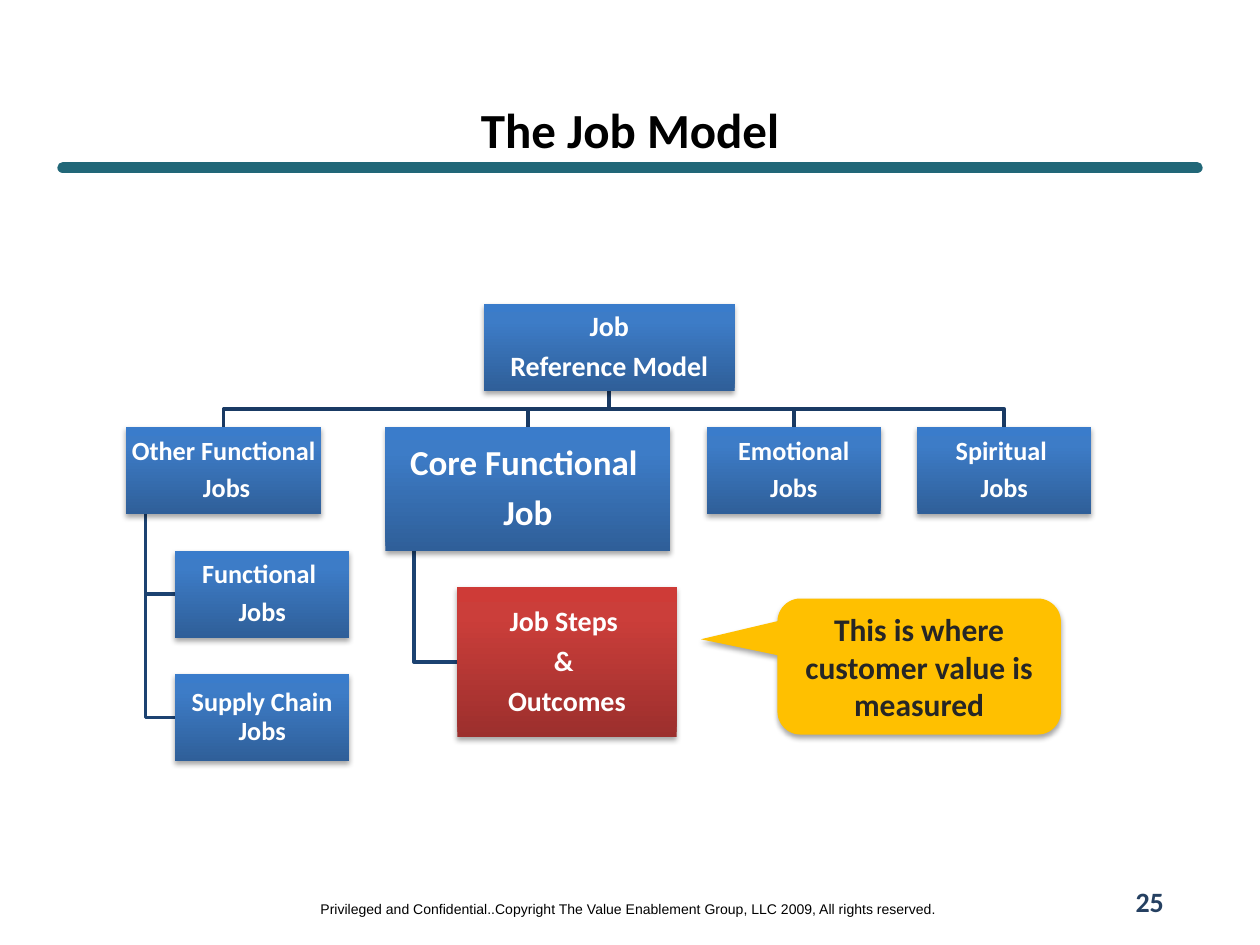
from dataclasses import dataclass

from lxml import etree
from pptx import Presentation, util as u
from pptx.dml.color import RGBColor
from pptx.enum import shapes, text
from pptx.oxml.ns import qn

CELL = u.Inches(0.1)  # the slide is a grid of 100 columns by 75 rows
BLUE = ((0, "2F5F99"), (80, "3D7CC7"), (100, "3A7CCB"))
RED = ((0, "9C2F2D"), (80, "CB3E3A"), (100, "CE3B37"))


@dataclass
class Job:
    lines: tuple
    col: float
    row: float
    cols: float
    rows: float = 6.9
    size: int = 15
    stops: tuple = BLUE

    @property
    def centre(self):
        return self.col + self.cols / 2

    @property
    def bottom(self):
        return self.row + self.rows


def colour(hex_text):
    return RGBColor.from_string(hex_text)


def cells(*counts):
    return [round(count * CELL) for count in counts]


def add_xml(parent, tag, **attributes):
    return etree.SubElement(parent, qn(tag), attributes)


def write(frame, *lines, size, font="Calibri", color="000000", bold=True,
          wrap=True, inset=None, spacing=None, after=0):
    """Fill a text frame with centred lines; after is a share of the size."""
    frame.word_wrap = wrap
    frame.vertical_anchor = text.MSO_ANCHOR.MIDDLE
    if inset is not None:
        frame.margin_left = frame.margin_right = u.Inches(inset)
        frame.margin_top = frame.margin_bottom = u.Inches(inset)
    for number, line in enumerate(lines):
        paragraph = frame.add_paragraph() if number else frame.paragraphs[0]
        paragraph.alignment = text.PP_ALIGN.CENTER
        paragraph.line_spacing = spacing
        paragraph.space_after = u.Pt(size * after)
        run = paragraph.add_run()
        run.text = line
        run.font.size, run.font.name, run.font.bold = u.Pt(size), font, bold
        run.font.color.rgb = colour(color)


class Painter:
    line_width = 2
    trunk_color = "193A64"
    branch_color = "1C4271"

    def __init__(self, slide):
        self.shapes = slide.shapes

    def label(self, line, *place, **style):
        write(self.shapes.add_textbox(*cells(*place)).text_frame, line, **style)

    def rule(self, left, right, row, color, width):
        line = self.shapes.add_connector(
            shapes.MSO_CONNECTOR.STRAIGHT, *cells(left, row, right, row))
        line.line.color.rgb = colour(color)
        line.line.width = u.Pt(width)
        line.line._get_or_add_ln().set("cap", "rnd")
        add_xml(line._element.spPr, "a:effectLst")

    def elbow(self, points, color):
        first, *others = [cells(*point) for point in points]
        builder = self.shapes.build_freeform(*first)
        builder.add_line_segments(others, close=False)
        path = builder.convert_to_shape()
        path.fill.background()
        path.line.color.rgb = colour(color)
        path.line.width = u.Pt(self.line_width)
        path.shadow.inherit = False

    def trunk(self, parent, child):
        middle = (parent.bottom + child.row) / 2
        self.elbow([(parent.centre, parent.bottom), (parent.centre, middle),
                    (child.centre, middle), (child.centre, child.row)],
                   self.trunk_color)

    def branch(self, parent, child):
        """Hang a child from a point a tenth of the way along its parent."""
        stem = parent.col + parent.cols / 10
        middle = child.row + child.rows / 2
        self.elbow([(stem, parent.bottom), (stem, middle), (child.col, middle)],
                   self.branch_color)

    def raised(self, kind, *place):
        """Add a borderless shape with a soft shadow below it."""
        shape = self.shapes.add_shape(kind, *cells(*place))
        shape.line.fill.background()
        shape.shadow.inherit = False
        effects = shape._element.spPr.find(qn("a:effectLst"))
        shadow = add_xml(effects, "a:outerShdw", blurRad=str(u.Pt(3.1)),
                         dist=str(u.Pt(1.8)), dir="5400000", rotWithShape="0")
        black = add_xml(shadow, "a:srgbClr", val="000000")
        add_xml(black, "a:alpha", val="35000")
        return shape

    def job(self, job):
        box = self.raised(shapes.MSO_SHAPE.RECTANGLE,
                          job.col, job.row, job.cols, job.rows)
        box.fill.gradient()
        box.fill.gradient_angle = 90
        stops = box._element.spPr.find(qn("a:gradFill")).find(qn("a:gsLst"))
        stops.clear()
        for percent, color in job.stops:
            stop = add_xml(stops, "a:gs", pos=str(percent * 1000))
            add_xml(stop, "a:srgbClr", val=color)
        write(box.text_frame, *job.lines, size=job.size, color="FFFFFF",
              inset=0.01, spacing=0.9, after=0.35)

    def callout(self, line, *place, adjustments, fill, **style):
        bubble = self.raised(shapes.MSO_SHAPE.ROUNDED_RECTANGULAR_CALLOUT, *place)
        for index, value in enumerate(adjustments):
            bubble.adjustments[index] = value
        bubble.fill.solid()
        bubble.fill.fore_color.rgb = colour(fill)
        write(bubble.text_frame, line, **style)


def main():
    deck = Presentation()
    deck.slide_width, deck.slide_height = cells(100, 75)
    painter = Painter(deck.slides.add_slide(deck.slide_layouts[6]))

    painter.rule(5, 95, 13.3, "216778", 6.5)
    painter.label("Privileged and Confidential..Copyright The Value Enablement "
                  "Group, LLC 2009, All rights reserved.", 24.1, 70.9, 51.6, 2.4,
                  size=8, font="Arial", bold=False, wrap=False)
    painter.label("The Job Model", 5, 8.3, 90, 3.8, size=28)
    painter.label("25", 87.5, 69.5, 7.5, 4, size=16, color="254061")

    level = 33.9
    model = Job(("Job", "Reference Model"), 38.4, 24.1, 19.9, size=16)
    other = Job(("Other Functional", " Jobs"), 10, level, 15.5)
    core = Job(("Core Functional ", "Job"), 30.6, level, 22.6, 9.8, 20)
    emotional = Job(("Emotional", "Jobs"), 56.1, level, 13.8)
    spiritual = Job(("Spiritual ", "Jobs"), 72.8, level, 13.8)
    functional = Job(("Functional ", "Jobs"), 13.9, 43.7, 13.8)
    supply = Job(("Supply Chain Jobs",), 13.9, 53.5, 13.8)
    outcomes = Job(("Job Steps ", "& ", "Outcomes"), 36.3, 46.6, 17.4, 11.9, 16, RED)

    kinds = (other, core, emotional, spiritual)
    details = ((other, functional), (other, supply), (core, outcomes))
    for kind in kinds:
        painter.trunk(model, kind)
    for parent, child in details:
        painter.branch(parent, child)
    for job in (model, *kinds, *(child for _, child in details)):
        painter.job(job)

    painter.callout("This is where customer value is measured",
                    61.7, 47.5, 22.5, 10.8, adjustments=(-0.77, -0.2, 0.17),
                    fill="FFC000", size=18, color="262626")
    deck.save("out.pptx")


if __name__ == "__main__":
    main()
